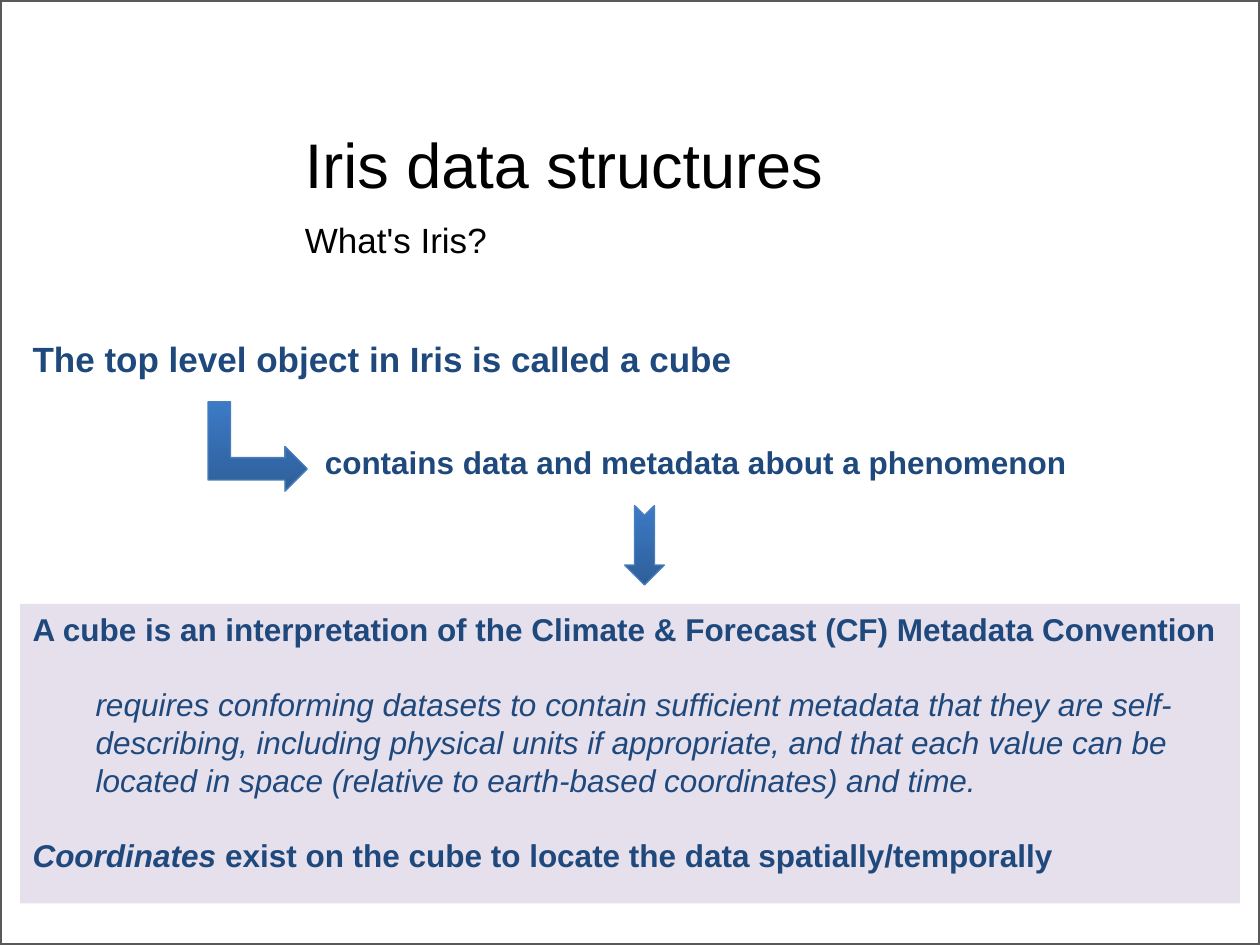
"""Build the slide on Iris data structures."""
from pptx import Presentation
from pptx.dml.color import RGBColor
from pptx.enum.shapes import MSO_SHAPE
from pptx.enum.text import MSO_ANCHOR, PP_ALIGN
from pptx.util import Inches, Pt

RECT = MSO_SHAPE.RECTANGLE
BENT, NOTCH = MSO_SHAPE.BENT_UP_ARROW, MSO_SHAPE.NOTCHED_RIGHT_ARROW
TOP, BASE = MSO_ANCHOR.TOP, MSO_ANCHOR.BOTTOM
LEFT = PP_ALIGN.LEFT
WIDE, HIGH = 10, 7.5
HEX = {"ink": "000000", "navy": "1F497D", "panel": "E6E0EC", "frame": "595959",
       "dark": "2E5F99", "light": "3C7AC7", "edge": "4A7EBB"}
RGB = {name: RGBColor.from_string(code) for name, code in HEX.items()}


def place(x, y, w, h):
    return [Inches(n) for n in (x * WIDE, y * HIGH, w * WIDE, h * HIGH)]


def write(shape, paras, size, tint, anchor=TOP, **form):
    frame = shape.text_frame
    frame.word_wrap = True
    frame.vertical_anchor = anchor
    for i, runs in enumerate(paras):
        para = frame.add_paragraph() if i else frame.paragraphs[0]
        look = {"alignment": LEFT, "space_before": Pt(0), **form}
        for key, value in look.items():
            setattr(para, key, value)
        for text, bold, slant in runs:
            run = para.add_run()
            run.text = text
            font = {"name": "Arial", "size": Pt(size), "bold": bold, "italic": slant}
            for key, value in font.items():
                setattr(run.font, key, value)
            run.font.color.rgb = RGB[tint]
    return frame.paragraphs


deck = Presentation()
deck.slide_width, deck.slide_height = Inches(WIDE), Inches(HIGH)
slide = deck.slides.add_slide(deck.slide_layouts[0])
shapes = slide.shapes

frame = shapes.add_shape(RECT, *place(0, 0, 1, 1))
frame.shadow.inherit = False
frame.fill.background()
frame.line.color.rgb = RGB["frame"]
frame.line.width = Pt(2.25)

title, sub = slide.placeholders
heads = [(title, "Iris data structures", 36, BASE, 0.084, 0.136),
         (sub, "What's Iris?", 20, TOP, 0.225, 0.073)]
for holder, text, size, anchor, y, h in heads:
    holder.left, holder.top, holder.width, holder.height = place(0.232, y, 0.764, h)
    write(holder, [[(text, False, False)]], size, "ink", anchor)

claims = [("The top level object in Iris is called a cube", 20, (0.016, 0.357, 0.969, 0.057)),
          ("contains data and metadata about a phenomenon", 18, (0.248, 0.468, 0.626, 0.087))]
for text, size, area in claims:
    write(shapes.add_textbox(*place(*area)), [[(text, True, False)]], size, "navy",
          line_spacing=0.85)

panel = shapes.add_shape(RECT, *place(0.016, 0.639, 0.968, 0.317))
panel.shadow.inherit = False
panel.fill.solid()
panel.fill.fore_color.rgb = RGB["panel"]
panel.line.fill.background()
facts = [
    [("A cube is an interpretation of the Climate & Forecast (CF) Metadata Convention", True, False)],
    [("requires conforming datasets to contain sufficient metadata that they are "
      "self-describing, including physical units if appropriate, and that each value can be "
      "located in space (relative to earth-based coordinates) and time.", False, True)],
    [("Coordinates", True, True),
     (" exist on the cube to locate the data spatially/temporally", True, False)],
]
paras = write(panel, facts, 18, "navy")
for para in paras[1:]:
    para.space_before = Pt(21.3)
paras[1].level = 1
paras[1]._p.get_or_add_pPr().set("marL", str(Inches(0.5)))

arrows = [(BENT, (0.169, 0.42, 0.071, 0.105), (0.25, 0.25, 0.25)),
          (NOTCH, (0.48, 0.556, 0.063, 0.042), (0.5, 0.5))]
for kind, area, bends in arrows:
    arrow = shapes.add_shape(kind, *place(*area))
    arrow.shadow.inherit = False
    arrow.rotation = 90
    for i, bend in enumerate(bends):
        arrow.adjustments[i] = bend
    arrow.fill.gradient()
    arrow.fill.gradient_angle = 180
    for stop, tint in zip(arrow.fill.gradient_stops, ("dark", "light")):
        stop.color.rgb = RGB[tint]
    arrow.line.color.rgb = RGB["edge"]
    arrow.line.width = Pt(0.75)

deck.save("out.pptx")
